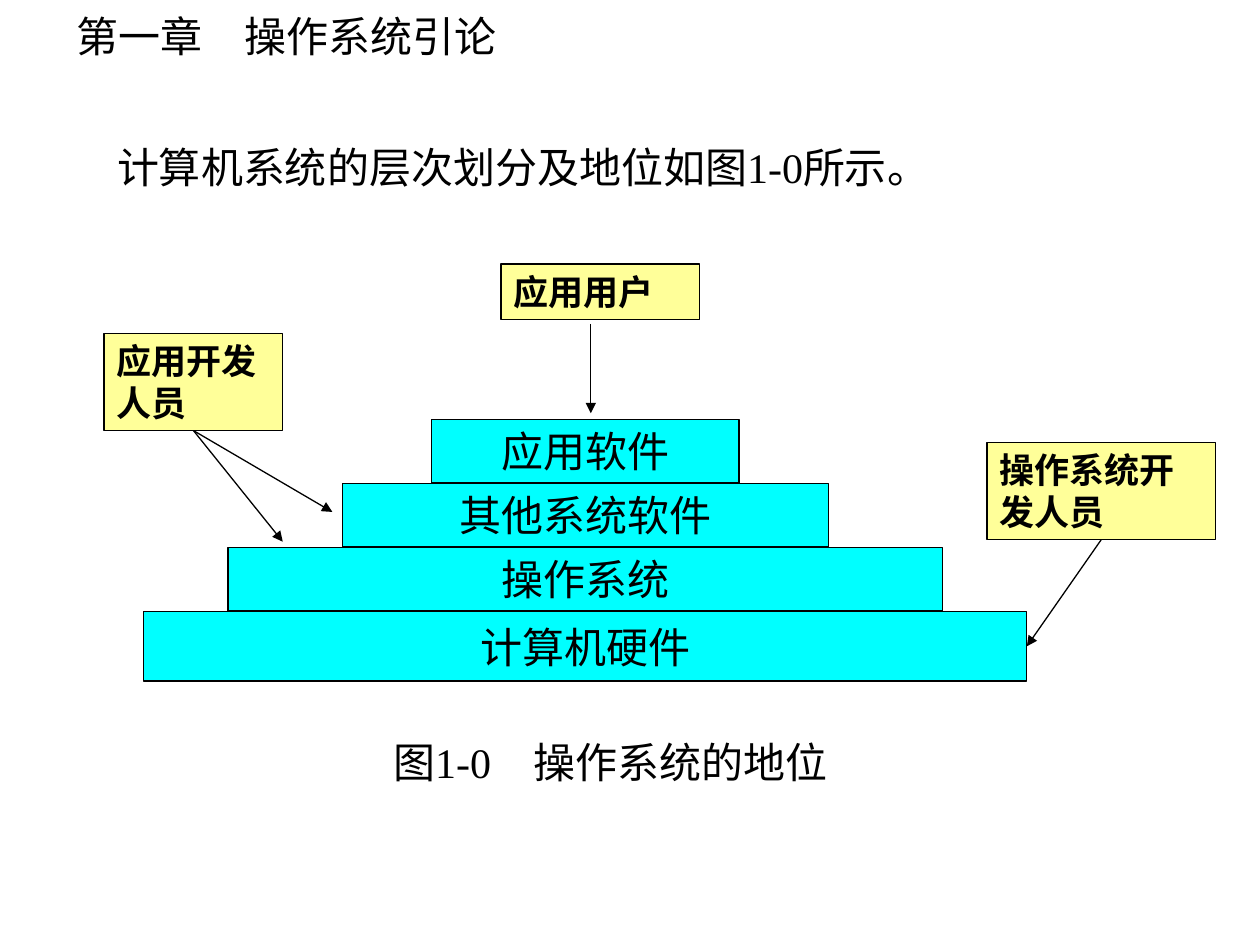
from dataclasses import dataclass

from lxml.etree import SubElement
from pptx import Presentation
from pptx.dml.color import RGBColor
from pptx.enum.shapes import MSO_CONNECTOR, MSO_SHAPE
from pptx.enum.text import MSO_ANCHOR, MSO_AUTO_SIZE, PP_ALIGN
from pptx.oxml.ns import qn
from pptx.util import Cm, Pt


@dataclass(frozen=True)
class Theme:
    ink: RGBColor = RGBColor(0x00, 0x00, 0x00)
    layer: RGBColor = RGBColor(0x00, 0xFF, 0xFF)
    role: RGBColor = RGBColor(0xFF, 0xFF, 0x99)
    body: Pt = Pt(24)
    label: Pt = Pt(20)
    outline: Pt = Pt(0.75)
    latin: str = "Times New Roman"
    chinese: str = "Noto Sans CJK SC"


theme = Theme()


def write(holder, text, size=theme.body, font=theme.latin, bold=False,
          align=PP_ALIGN.LEFT, anchor=MSO_ANCHOR.TOP, wrap=True, grow=True):
    frame = holder.text_frame
    frame.word_wrap = wrap
    frame.auto_size = MSO_AUTO_SIZE.SHAPE_TO_FIT_TEXT if grow else MSO_AUTO_SIZE.NONE
    frame.vertical_anchor = anchor
    paragraph = frame.paragraphs[0]
    paragraph.alignment = align
    run = paragraph.add_run()
    run.text = text
    run.font.size = size
    run.font.bold = bold
    run.font.color.rgb = theme.ink
    run.font.name = font
    SubElement(run.font._element, qn("a:ea"), typeface=theme.chinese)


def add_block(left, top, width, height, fill):
    block = slide.shapes.add_shape(
        MSO_SHAPE.RECTANGLE, Cm(left), Cm(top), Cm(width), Cm(height))
    block.shadow.inherit = False
    block.fill.solid()
    block.fill.fore_color.rgb = fill
    block.line.color.rgb = theme.ink
    block.line.width = theme.outline
    return block


presentation = Presentation()
presentation.slide_width = Cm(25.4)
presentation.slide_height = Cm(19.05)
slide = presentation.slides.add_slide(presentation.slide_layouts[6])

passages = [
    ("第一章　操作系统引论", 1.3, 0.08, 9.17,
     dict(font=theme.chinese, wrap=False)),
    ("计算机系统的层次划分及地位如图1-0所示。", 2.11, 2.72, 21.2, {}),
    ("图1-0　操作系统的地位", 6.1, 14.73, 12.4, dict(align=PP_ALIGN.CENTER)),
]
for text, left, top, width, style in passages:
    passage = slide.shapes.add_textbox(Cm(left), Cm(top), Cm(width), Cm(1.28))
    write(passage, text, **style)

pyramid_center, pyramid_top, layer_step = 11.8, 8.46, 1.29
layers = [
    ("应用软件", 6.2, 1.28, {}),
    ("其他系统软件", 9.8, 1.28, {}),
    ("操作系统", 14.4, 1.28, {}),
    ("计算机硬件", 17.8, 1.4,
     dict(anchor=MSO_ANCHOR.MIDDLE, wrap=False, grow=False)),
]
layer_blocks = {}
for level, (text, width, height, style) in enumerate(layers):
    layer_blocks[text] = add_block(
        pyramid_center - width / 2, pyramid_top + level * layer_step,
        width, height, theme.layer)
    write(layer_blocks[text], text, align=PP_ALIGN.CENTER, **style)

roles = [
    ("应用用户", 10.1, 5.32, 4, 1.12),
    ("应用开发人员", 2.1, 6.72, 3.6, 1.96),
    ("操作系统开发人员", 19.9, 8.92, 4.6, 1.96),
]
role_blocks = {}
for text, left, top, width, height in roles:
    role_blocks[text] = add_block(left, top, width, height, theme.role)
    write(role_blocks[text], text, size=theme.label, bold=True)

app_developer = role_blocks["应用开发人员"]
arrows = [
    (11.91, 6.53, 11.91, 8.33, None, None),
    (3.9, 8.68, 5.7, 10.92, app_developer, None),
    (3.9, 8.68, 6.7, 10.32, app_developer, None),
    (22.2, 10.88, 20.7, 13.03,
     role_blocks["操作系统开发人员"], layer_blocks["计算机硬件"]),
]
for start_x, start_y, end_x, end_y, origin, target in arrows:
    arrow = slide.shapes.add_connector(
        MSO_CONNECTOR.STRAIGHT, Cm(start_x), Cm(start_y), Cm(end_x), Cm(end_y))
    if origin:
        arrow.begin_connect(origin, 2)
    if target:
        arrow.end_connect(target, 3)
    arrow.line.color.rgb = theme.ink
    arrow.line.width = theme.outline
    SubElement(arrow.line._get_or_add_ln(), qn("a:tailEnd"), type="triangle")
    SubElement(arrow._element.spPr, qn("a:effectLst"))

presentation.save("out.pptx")
